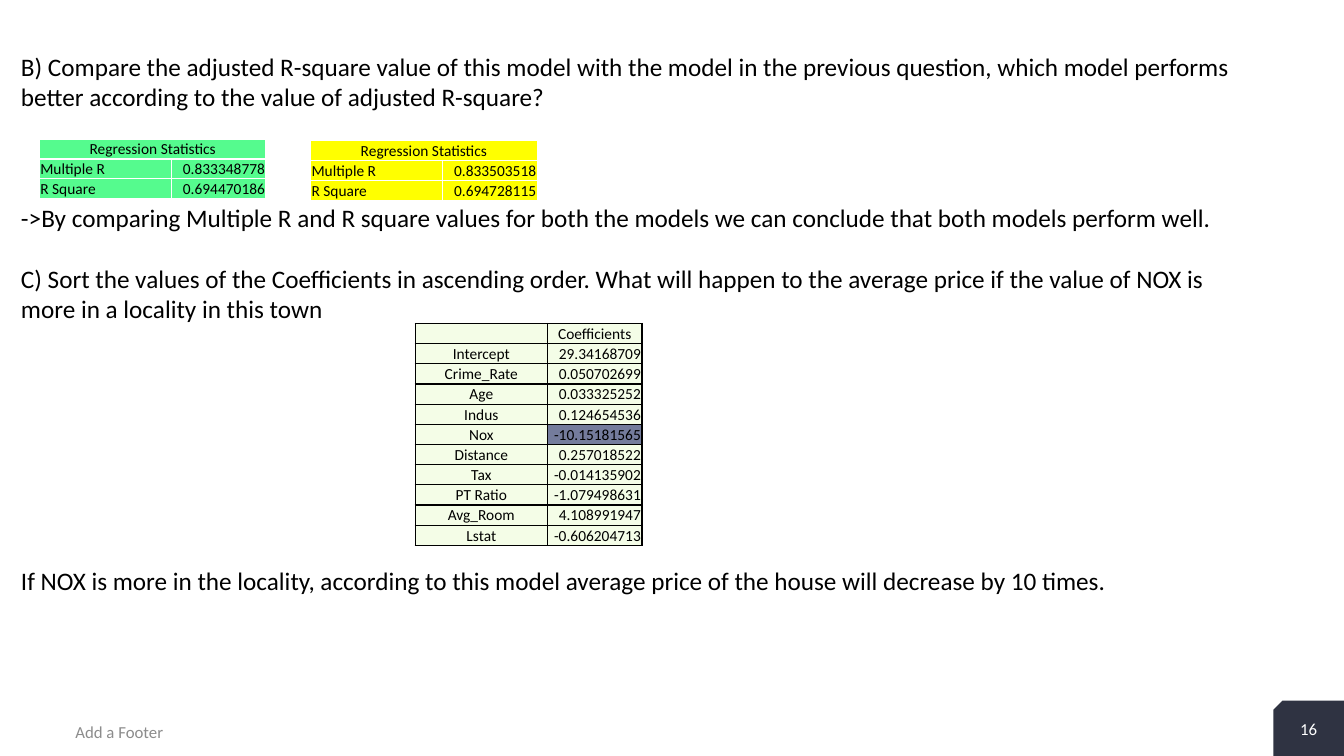
from lxml import etree
from pptx import Presentation
from pptx.dml.color import RGBColor
from pptx.enum.shapes import MSO_SHAPE
from pptx.enum.text import MSO_ANCHOR, PP_ALIGN
from pptx.oxml.ns import qn
from pptx.util import Pt

SNIP = MSO_SHAPE.SNIP_1_RECTANGLE
LEFT, MID, RIGHT = PP_ALIGN.LEFT, PP_ALIGN.CENTER, PP_ALIGN.RIGHT
CENTER, BASE = MSO_ANCHOR.MIDDLE, MSO_ANCHOR.BOTTOM
BLACK = RGBColor(0x00, 0x00, 0x00)
WHITE = RGBColor(0xFF, 0xFF, 0xFF)
GRAY = RGBColor(0x8C, 0x8C, 0x8C)
NAVY = RGBColor(0x2F, 0x33, 0x42)
GREEN = RGBColor(0x55, 0xFB, 0x8E)
YELLOW = RGBColor(0xFF, 0xFF, 0x00)
CREAM = RGBColor(0xF4, 0xFD, 0xE7)
SLATE = RGBColor(0x74, 0x7C, 0x9C)
FONT = "Calibri"
LINE = 21.6
COLS = (94.5, 67.5)

NOTES = [
    (0, "B) Compare the adjusted R-square value of this model with the model in the "
        "previous question, which model performs better according to the value of "
        "adjusted R-square?"),
    (3, "->By comparing Multiple R and R square values for both the models we can "
        "conclude that both models perform well."),
    (1, "C) Sort the values of the Coefficients in ascending order. What will happen "
        "to the average price if the value of NOX is more in a locality in this town"),
    (8, "If NOX is more in the locality, according to this model average price of the "
        "house will decrease by 10 times."),
]
FIRST = [("Regression Statistics", ""), ("Multiple R", "0.833348778"),
         ("R Square", "0.694470186")]
SECOND = [("Regression Statistics", ""), ("Multiple R", "0.833503518"),
          ("R Square", "0.694728115")]
COEFFS = [("", "Coefficients"), ("Intercept", "29.34168709"),
          ("Crime_Rate", "0.050702699"), ("Age", "0.033325252"),
          ("Indus", "0.124654536"), ("Nox", "-10.15181565"),
          ("Distance", "0.257018522"), ("Tax", "-0.014135902"),
          ("PT Ratio", "-1.079498631"), ("Avg_Room", "4.108991947"),
          ("Lstat", "-0.606204713")]


def add_run(para, text, size, color):
    """Add one styled run to a paragraph."""
    run = para.add_run()
    run.text = text
    run.font.name, run.font.size = FONT, Pt(size)
    run.font.color.rgb = color


def add_box(slide, x, y, w, h):
    """Add a wrapping text box and return its frame."""
    frame = slide.shapes.add_textbox(Pt(x), Pt(y), Pt(w), Pt(h)).text_frame
    frame.word_wrap = True
    return frame


def add_notes(slide, x, y, w, h):
    """Add the questions and answers, with gaps counted in lines."""
    frame = add_box(slide, x, y, w, h)
    for i, (gap, text) in enumerate(NOTES):
        para = frame.add_paragraph() if i else frame.paragraphs[0]
        para.line_spacing = Pt(LINE)
        if gap:
            para.space_before = Pt(gap * LINE)
        add_run(para, text, 18, BLACK)


def add_label(slide, x, y, w, h, text, align, color):
    """Add a small label centred in height."""
    frame = add_box(slide, x, y, w, h)
    frame.vertical_anchor = CENTER
    para = frame.paragraphs[0]
    para.alignment = align
    add_run(para, text, 12, color)


def add_foot(slide, x, y, w, h):
    """Add the footer text and the page tab inside a bottom band."""
    side = 50.4
    tab = slide.shapes.add_shape(SNIP, Pt(x + w - side), Pt(y), Pt(side), Pt(h))
    tab.shadow.inherit = False
    tab.fill.solid()
    tab.fill.fore_color.rgb = NAVY
    tab.line.fill.background()
    tab.element.spPr.find(qn("a:xfrm")).set("flipH", "1")
    add_label(slide, x + 46.8, y + 7.9, 324, 28.8, "Add a Footer", LEFT, GRAY)
    add_label(slide, x + w - side, y + 4.3, side, 32.4, "16", MID, WHITE)


def add_edges(cell, color):
    """Draw thin lines on all four sides of a cell."""
    props = cell._tc.get_or_add_tcPr()
    for i, tag in enumerate(("a:lnL", "a:lnR", "a:lnT", "a:lnB")):
        edge = etree.Element(qn(tag), w=str(Pt(1)))
        fill = etree.SubElement(edge, qn("a:solidFill"))
        etree.SubElement(fill, qn("a:srgbClr"), val=str(color))
        props.insert(i, edge)


def add_cell(cell, text, align, fill, edge):
    """Fill one table cell with its text, colour and borders."""
    cell.margin_left = cell.margin_right = cell.margin_top = Pt(0.72)
    cell.margin_bottom = Pt(0)
    cell.vertical_anchor = BASE
    cell.fill.solid()
    cell.fill.fore_color.rgb = fill
    add_edges(cell, edge)
    para = cell.text_frame.paragraphs[0]
    para.alignment = align
    if text:
        add_run(para, text, 11, BLACK)
    else:
        etree.SubElement(para._p, qn("a:endParaRPr"), sz="1100")


def add_grid(slide, x, y, high, rows, fill, edge, side, mark=None):
    """Add a two-column table, with one value marked if named."""
    shape = slide.shapes.add_table(len(rows), 2, Pt(x), Pt(y),
                                   Pt(sum(COLS)), Pt(high * len(rows)))
    grid = shape.table
    grid.first_row = grid.horz_banding = False
    for col, wide in zip(grid.columns, COLS):
        col.width = Pt(wide)
    for r, (name, value) in enumerate(rows):
        grid.rows[r].height = Pt(high)
        tone = SLATE if name == mark else fill
        add_cell(grid.cell(r, 0), name, side if r else MID, fill, edge)
        add_cell(grid.cell(r, 1), value, RIGHT if r else MID, tone, edge)
    if not rows[0][1]:
        grid.cell(0, 0).merge(grid.cell(0, 1))


def main():
    """Build the slide and save it."""
    deck = Presentation()
    deck.slide_width, deck.slide_height = Pt(960), Pt(540)
    slide = deck.slides.add_slide(deck.slide_layouts[6])
    add_foot(slide, 0, 500.4, 960, 39.6)
    add_notes(slide, 7.9, 33.1, 901.4, 465.1)
    add_grid(slide, 28.1, 99.4, 14.2, FIRST, GREEN, WHITE, LEFT)
    add_grid(slide, 221.8, 100.1, 14.4, SECOND, YELLOW, WHITE, LEFT)
    add_grid(slide, 296.6, 231.1, 14.4, COEFFS, CREAM, BLACK, MID, "Nox")
    deck.save("out.pptx")


if __name__ == "__main__":
    main()
